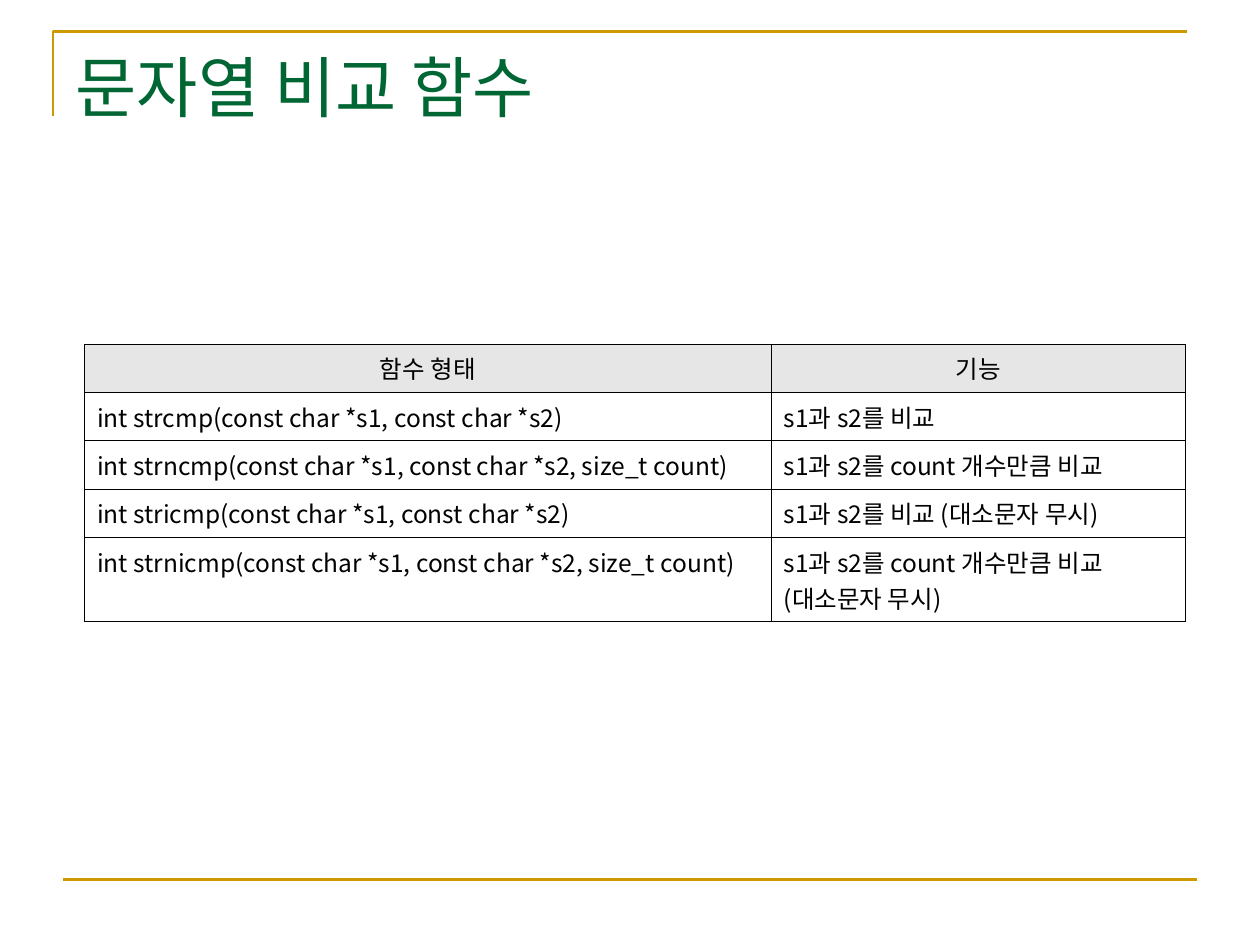
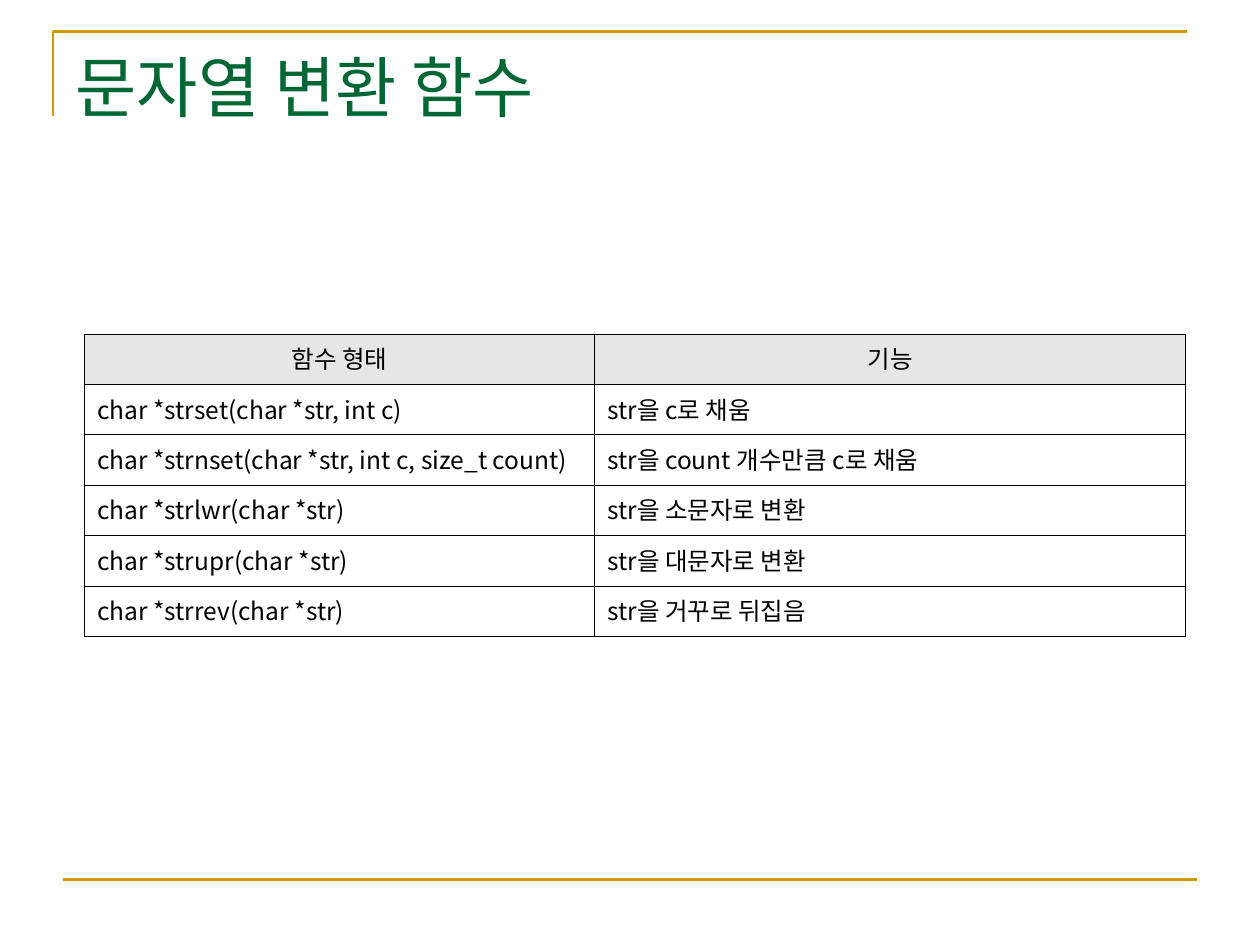
from dataclasses import dataclass

from lxml import etree
from pptx import Presentation
from pptx import util as u
from pptx.dml.color import RGBColor
from pptx.enum import shapes, text
from pptx.oxml import ns


@dataclass(frozen=True)
class Theme:
    font: str = "Noto Sans CJK KR"
    title_size: float = 38
    body_size: float = 14
    rule_width: float = 1.5
    border_width: float = 0.45
    title: str = "006633"
    rule: str = "CC9900"
    ink: str = "000000"
    header: str = "E6E6E6"


THEME = Theme()
TITLE_ONLY = 5
TABLE_LEFT = 0.67
HEADINGS = ("함수 형태", "기능")

COMPARISONS = [
    ("int strcmp(const char *s1, const char *s2)", "s1과 s2를 비교"),
    ("int strncmp(const char *s1, const char *s2, size_t count)",
     "s1과 s2를 count 개수만큼 비교"),
    ("int stricmp(const char *s1, const char *s2)", "s1과 s2를 비교 (대소문자 무시)"),
    ("int strnicmp(const char *s1, const char *s2, size_t count)",
     "s1과 s2를 count 개수만큼 비교\v(대소문자 무시)"),
]
CONVERSIONS = [
    ("char *strset(char *str, int c)", "str을 c로 채움"),
    ("char *strnset(char *str, int c, size_t count)", "str을 count 개수만큼 c로 채움"),
    ("char *strlwr(char *str)", "str을 소문자로 변환"),
    ("char *strupr(char *str)", "str을 대문자로 변환"),
    ("char *strrev(char *str)", "str을 거꾸로 뒤집음"),
]


def rgb(code):
    return RGBColor.from_string(code)


def style_paragraph(paragraph, size, color, align):
    """Set the font for Latin and Korean text alike."""
    paragraph.alignment = align
    font = paragraph.font
    font.name = THEME.font
    font.size = u.Pt(size)
    font.bold = False
    font.color.rgb = rgb(color)
    korean = etree.SubElement(paragraph._p.pPr.find(ns.qn("a:defRPr")), ns.qn("a:ea"))
    korean.set("typeface", THEME.font)


def style_rule(line):
    line.color.rgb = rgb(THEME.rule)
    line.width = u.Pt(THEME.rule_width)


def add_frame(slide):
    """Draw the corner around the title and the rule at the foot."""
    left, top, right, bottom = (u.Inches(n) for n in (0.42, 0.25, 9.42, 0.92))
    builder = slide.shapes.build_freeform(left, bottom)
    builder.add_line_segments([(left, top), (right, top)], close=False)
    corner = builder.convert_to_shape()
    corner.shadow.inherit = False
    corner.fill.background()
    style_rule(corner.line)

    foot = slide.shapes.add_connector(
        shapes.MSO_CONNECTOR.STRAIGHT,
        u.Inches(0.5), u.Inches(6.98), u.Inches(9.5), u.Inches(6.98))
    style_rule(foot.line)
    etree.SubElement(foot._element.spPr, ns.qn("a:effectLst"))


def set_title(slide, wording):
    title = slide.shapes.title
    title.left, title.top = u.Inches(0.5), u.Inches(0.3)
    title.width, title.height = u.Inches(9.3), u.Inches(0.77)
    frame = title.text_frame
    frame.text = wording
    frame.auto_size = text.MSO_AUTO_SIZE.NONE
    frame.vertical_anchor = text.MSO_ANCHOR.MIDDLE
    style_paragraph(frame.paragraphs[0], THEME.title_size, THEME.title, text.PP_ALIGN.LEFT)


def set_borders(cell):
    """Outline the cell; borders must precede the fill in its properties."""
    properties = cell._tc.get_or_add_tcPr()
    for position, side in enumerate(("lnL", "lnR", "lnT", "lnB")):
        border = etree.Element(ns.qn(f"a:{side}"), w=str(int(u.Pt(THEME.border_width))))
        fill = etree.SubElement(border, ns.qn("a:solidFill"))
        etree.SubElement(fill, ns.qn("a:srgbClr"), val=THEME.ink)
        properties.insert(position, border)


def fill_cell(cell, wording, is_heading):
    cell.text_frame.text = wording
    align = text.PP_ALIGN.CENTER if is_heading else text.PP_ALIGN.LEFT
    style_paragraph(cell.text_frame.paragraphs[0], THEME.body_size, THEME.ink, align)
    if is_heading:
        cell.fill.solid()
        cell.fill.fore_color.rgb = rgb(THEME.header)
    else:
        cell.fill.background()
    set_borders(cell)


def add_function_table(slide, functions, top, widths, heights):
    entries = [HEADINGS, *functions]
    table = slide.shapes.add_table(
        len(entries), len(HEADINGS), u.Inches(TABLE_LEFT), u.Inches(top),
        u.Inches(sum(widths)), u.Inches(sum(heights))).table
    table.first_row = table.horz_banding = False
    for column, width in zip(table.columns, widths):
        column.width = u.Inches(width)
    for row, height in zip(table.rows, heights):
        row.height = u.Inches(height)
    for r, entry in enumerate(entries):
        for c, wording in enumerate(entry):
            fill_cell(table.cell(r, c), wording, is_heading=r == 0)


def add_function_slide(deck, title, functions, top, widths, heights):
    slide = deck.slides.add_slide(deck.slide_layouts[TITLE_ONLY])
    add_frame(slide)
    set_title(slide, title)
    add_function_table(slide, functions, top, widths, heights)


def main():
    deck = Presentation()
    deck.slide_width, deck.slide_height = u.Inches(10), u.Inches(7.5)
    add_function_slide(deck, "문자열 비교 함수", COMPARISONS, top=2.73,
                       widths=(5.45, 3.29), heights=[0.37] * 4 + [0.62])
    add_function_slide(deck, "문자열 변환 함수", CONVERSIONS, top=2.65,
                       widths=(4.05, 4.69), heights=[0.4] * 6)
    deck.save("out.pptx")


if __name__ == "__main__":
    main()
